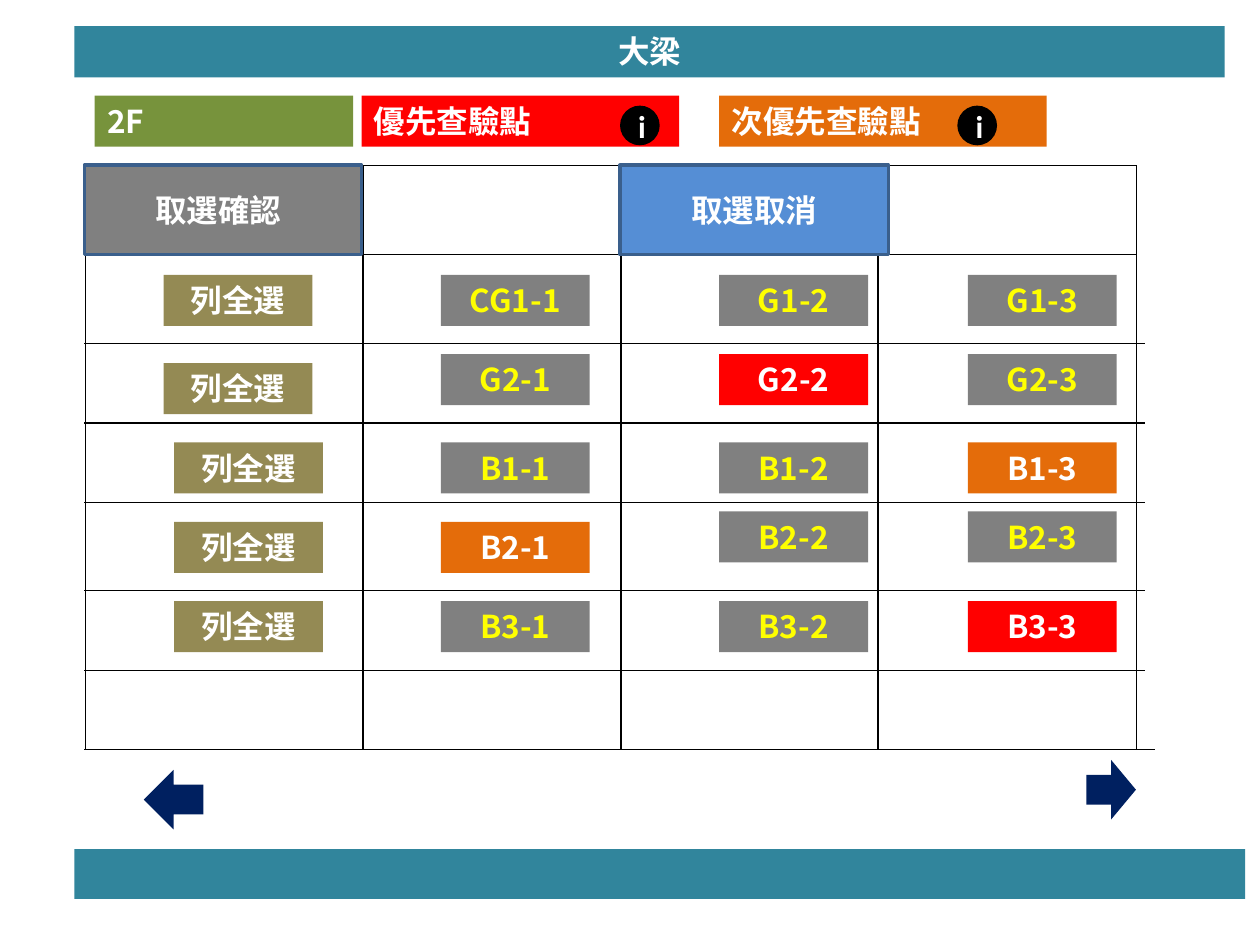
from typing import NamedTuple, Optional

from lxml import etree
from pptx import Presentation
from pptx.dml.color import RGBColor
from pptx.enum.shapes import MSO_CONNECTOR, MSO_SHAPE
from pptx.enum.text import MSO_ANCHOR, MSO_AUTO_SIZE, PP_ALIGN
from pptx.oxml.ns import qn
from pptx.util import Cm, Pt

RECTANGLE, OVAL = MSO_SHAPE.RECTANGLE, MSO_SHAPE.OVAL
LEFT_ARROW, RIGHT_ARROW = MSO_SHAPE.LEFT_ARROW, MSO_SHAPE.RIGHT_ARROW
STRAIGHT = MSO_CONNECTOR.STRAIGHT
LEFT, CENTER = PP_ALIGN.LEFT, PP_ALIGN.CENTER
TOP, MIDDLE = MSO_ANCHOR.TOP, MSO_ANCHOR.MIDDLE
FIT_SHAPE, NO_FIT = MSO_AUTO_SIZE.SHAPE_TO_FIT_TEXT, MSO_AUTO_SIZE.NONE

TEAL = RGBColor(0x31, 0x85, 0x9C)
GREEN = RGBColor(0x77, 0x93, 0x3C)
RED = RGBColor(0xFF, 0x00, 0x00)
ORANGE = RGBColor(0xE4, 0x6C, 0x0A)
GRAY = RGBColor(0x80, 0x80, 0x80)
KHAKI = RGBColor(0x94, 0x8A, 0x54)
BLUE = RGBColor(0x55, 0x8E, 0xD5)
BORDER_BLUE = RGBColor(0x3A, 0x5F, 0x8C)
NAVY = RGBColor(0x00, 0x20, 0x60)
YELLOW = RGBColor(0xFF, 0xFF, 0x00)
WHITE = RGBColor(0xFF, 0xFF, 0xFF)
BLACK = RGBColor(0x00, 0x00, 0x00)

CJK_FONT = "Noto Sans CJK SC"
LATIN_FONT = "Calibri"
LABEL_HEIGHT = 1.03
TAG_WIDTH = 3.0
TAG_COLUMNS = (8.89, 14.5, 19.51)
GRID_TOP, GRID_BOTTOM, GRID_LEFT, GRID_RIGHT = 3.33, 15.11, 1.7, 22.91
OVERHANG = 23.09


class Box(NamedTuple):
    """A position and size in centimetres."""
    left: float
    top: float
    width: float
    height: float = LABEL_HEIGHT


class Beam(NamedTuple):
    name: str
    top: float
    fill: RGBColor = GRAY


class BeamRow(NamedTuple):
    select_left: float
    select_top: float
    beams: tuple[Beam, ...]


class Legend(NamedTuple):
    text: str
    box: Box
    fill: RGBColor
    font: str = LATIN_FONT
    info_left: Optional[float] = None


class Action(NamedTuple):
    text: str
    box: Box
    fill: RGBColor


ROWS = (
    BeamRow(3.3, 5.54, (Beam("CG1-1", 5.54), Beam("G1-2", 5.54), Beam("G1-3", 5.54))),
    BeamRow(3.3, 7.32, (Beam("G2-1", 7.14), Beam("G2-2", 7.14, RED), Beam("G2-3", 7.14))),
    BeamRow(3.51, 8.92, (Beam("B1-1", 8.92), Beam("B1-2", 8.92), Beam("B1-3", 8.92, ORANGE))),
    BeamRow(3.51, 10.52, (Beam("B2-1", 10.52, ORANGE), Beam("B2-2", 10.31), Beam("B2-3", 10.31))),
    BeamRow(3.51, 12.12, (Beam("B3-1", 12.12), Beam("B3-2", 12.12), Beam("B3-3", 12.12, RED))),
)
LEGENDS = (
    Legend("2F", Box(1.91, 1.93, 5.21), GREEN, font=CJK_FONT),
    Legend("優先查驗點", Box(7.29, 1.93, 6.4), RED, info_left=12.5),
    Legend("次優先查驗點", Box(14.5, 1.93, 6.6), ORANGE, info_left=19.3),
)
ACTIONS = (
    Action("取選確認", Box(GRID_LEFT, GRID_TOP, 5.59, 1.8), GRAY),
    Action("取選取消", Box(12.5, GRID_TOP, 5.41, 1.8), BLUE),
)
GRID_COLUMNS = (1.73, 7.32, 12.52, 17.7, GRID_RIGHT)
# Top of each horizontal rule and where it ends on the right
GRID_RULES = (
    (GRID_TOP, GRID_RIGHT), (5.13, GRID_RIGHT), (6.93, OVERHANG), (8.53, OVERHANG),
    (10.13, OVERHANG), (11.91, OVERHANG), (13.51, OVERHANG), (GRID_BOTTOM, 23.29),
)


def write(shape, text: str, *, color=WHITE, font=CJK_FONT, align=CENTER,
          anchor=TOP, fit=FIT_SHAPE) -> None:
    frame = shape.text_frame
    frame.word_wrap = True
    frame.auto_size = fit
    frame.vertical_anchor = anchor
    paragraph = frame.paragraphs[0]
    paragraph.alignment = align
    run = paragraph.add_run()
    run.text = text
    run.font.size = Pt(18)
    run.font.bold = True
    run.font.color.rgb = color
    run.font.name = font
    east_asian = etree.SubElement(run.font._element, qn("a:ea"))
    east_asian.set("typeface", CJK_FONT)


def add_block(slide, box: Box, fill: RGBColor, kind=RECTANGLE, border=None):
    shape = slide.shapes.add_shape(kind, *map(Cm, box))
    shape.shadow.inherit = False
    shape.fill.solid()
    shape.fill.fore_color.rgb = fill
    if border is None:
        shape.line.fill.background()
    else:
        shape.line.color.rgb = border
        shape.line.width = Pt(2)
    return shape


def add_rule(slide, x1: float, y1: float, x2: float, y2: float) -> None:
    rule = slide.shapes.add_connector(STRAIGHT, Cm(x1), Cm(y1), Cm(x2), Cm(y2))
    rule.line.color.rgb = BLACK
    rule.line.width = Pt(0.75)
    etree.SubElement(rule._element.spPr, qn("a:effectLst"))


def add_legend(slide, legend: Legend) -> None:
    label = add_block(slide, legend.box, legend.fill)
    write(label, legend.text, font=legend.font, align=LEFT)
    if legend.info_left is not None:
        info = add_block(slide, Box(legend.info_left, 2.13, 0.8, 0.8), BLACK, OVAL)
        write(info, "i", font=LATIN_FONT, anchor=MIDDLE, fit=NO_FIT)


def add_beam_row(slide, row: BeamRow) -> None:
    select = add_block(slide, Box(row.select_left, row.select_top, TAG_WIDTH), KHAKI)
    write(select, "列全選")
    for left, beam in zip(TAG_COLUMNS, row.beams):
        tag = add_block(slide, Box(left, beam.top, TAG_WIDTH), beam.fill)
        write(tag, beam.name, color=YELLOW if beam.fill == GRAY else WHITE)


def add_action(slide, action: Action) -> None:
    add_block(slide, action.box, action.fill, border=BORDER_BLUE)
    caption = Box(action.box.left + 0.61, action.box.top + 0.4, 4.19)
    write(slide.shapes.add_textbox(*map(Cm, caption)), action.text)


def main() -> None:
    deck = Presentation()
    deck.slide_width, deck.slide_height = Cm(25.4), Cm(19.05)
    slide = deck.slides.add_slide(deck.slide_layouts[6])

    write(add_block(slide, Box(1.5, 0.53, 23.19), TEAL), "大梁")
    for legend in LEGENDS:
        add_legend(slide, legend)
    for top, right in GRID_RULES:
        add_rule(slide, GRID_LEFT, top, right, top)
    for left in GRID_COLUMNS:
        add_rule(slide, left, GRID_TOP, left, GRID_BOTTOM)
    for row in ROWS:
        add_beam_row(slide, row)
    for action in ACTIONS:
        add_action(slide, action)
    add_block(slide, Box(2.9, 15.52, 1.2, 1.2), NAVY, LEFT_ARROW)
    add_block(slide, Box(21.9, 15.32, 1.0, 1.2), NAVY, RIGHT_ARROW)
    add_block(slide, Box(1.5, 17.12, 23.6, 1.0), TEAL)

    deck.save("out.pptx")


if __name__ == "__main__":
    main()
